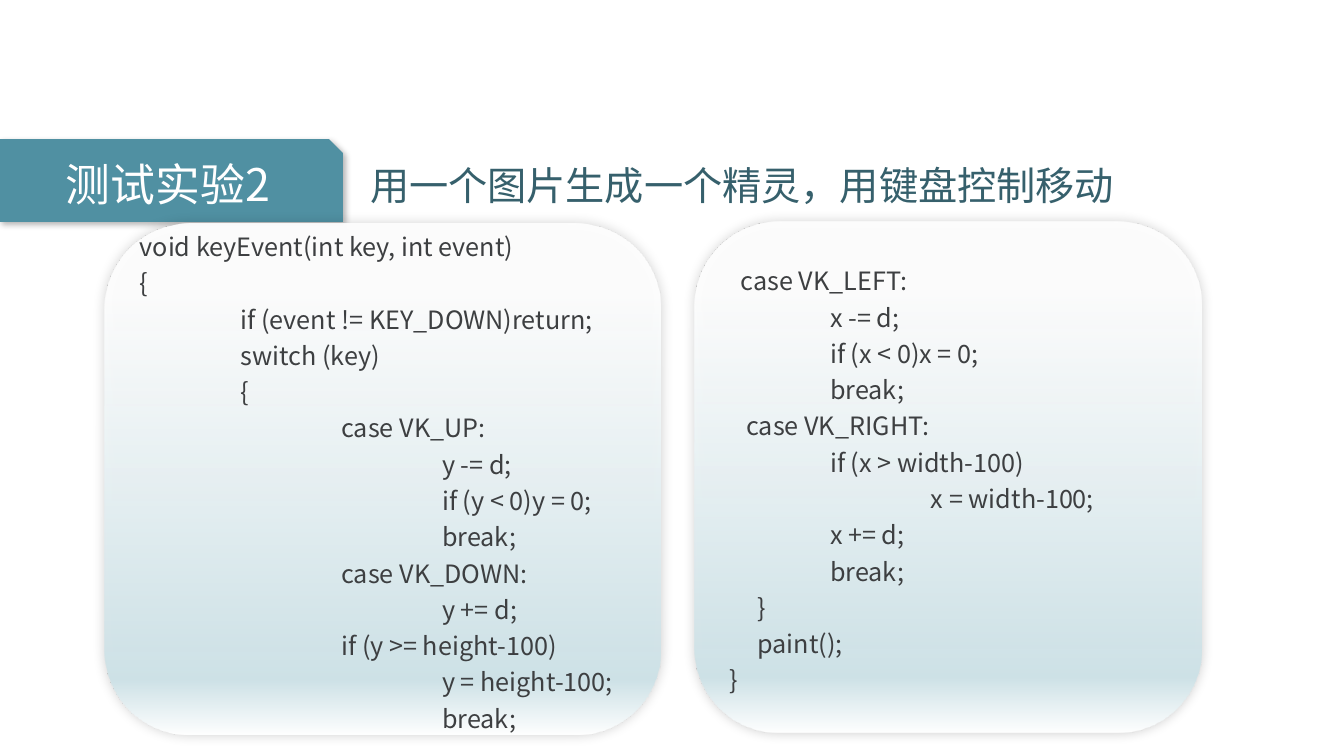
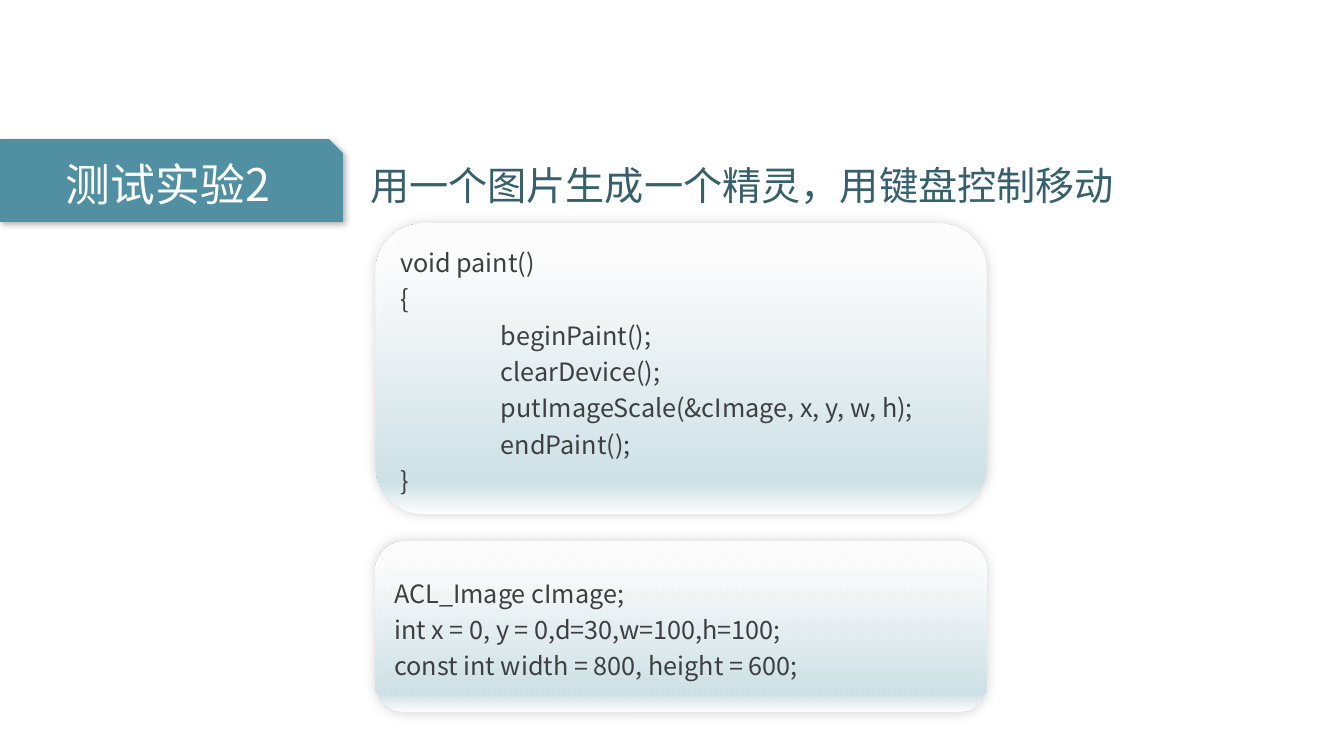
"""Build two slides of sprite code samples under a shared heading."""
from lxml import etree
from pptx import Presentation
from pptx import util as u
from pptx.dml.color import RGBColor
from pptx.enum import shapes, text
from pptx.oxml.ns import qn

THEME = {
    "font": "Noto Sans CJK SC",
    "heading": {"size": 28, "color": "36606C", "spacing": 1.1, "align": text.PP_ALIGN.JUSTIFY},
    "tag": {"size": 32, "color": "FFFFFF", "spacing": 1.0, "align": text.PP_ALIGN.CENTER},
    "code": {"size": 18, "color": "3D3F41", "spacing": 1.2, "align": text.PP_ALIGN.LEFT},
    "tag_fill": "5090A2",
    "card_stops": [(14, "FFFFFF", 92), (89, "CDE1E6", 100), (100, "FFFFFF", 100)],
    "tag_shadow": {"blur": 4.5, "distance": 2.6, "angle": 53, "opacity": 30},
    "card_shadow": {"blur": 9, "distance": 0, "angle": 119, "opacity": 20},
}
SIZE = (13.33, 7.5)
HEADING_AT = (3.57, 1.5, 7.89, 0.72)
TAG_AT = (0, 1.38, 3.4, 0.82)
TAB_STEP = 1
HEADING = "用一个图片生成一个精灵，用键盘控制移动"
TAG = "测试实验2"

KEY_EVENT = [
    "void keyEvent(int key, int event)",
    "{",
    "\tif (event != KEY_DOWN)return;",
    "\tswitch (key)",
    "\t{",
    "\t\tcase VK_UP:",
    "\t\t\ty -= d;",
    "\t\t\tif (y < 0)y = 0;",
    "\t\t\tbreak;",
    "\t\tcase VK_DOWN:",
    "\t\t\ty += d;",
    "\t\tif (y >= height-100)",
    "\t\t\ty = height-100;",
    "\t\t\tbreak;",
]
SIDEWAYS = [
    "  case VK_LEFT:",
    "\tx -= d;",
    "\tif (x < 0)x = 0;",
    "\tbreak;",
    "   case VK_RIGHT:",
    "\tif (x > width-100)",
    "\t\tx = width-100;",
    "\tx += d;",
    "\tbreak;",
    "     }",
    "     paint();",
    "}",
]
PAINT = [
    "void paint()",
    "{",
    "\tbeginPaint();",
    "\tclearDevice();",
    "\tputImageScale(&cImage, x, y, w, h);",
    "\tendPaint();",
    "}",
]
GLOBALS = [
    "ACL_Image cImage;",
    "int x = 0, y = 0,d=30,w=100,h=100;",
    "const int width = 800, height = 600;",
]
SLIDES = [
    [((1.04, 2.22, 5.51, 5.07), KEY_EVENT), ((6.89, 2.2, 5.03, 5.07), SIDEWAYS)],
    [((3.73, 2.22, 6.05, 2.87), PAINT), ((3.73, 5.37, 6.05, 1.69), GLOBALS)],
]


def set_all(target, values):
    """Set each named attribute on the target."""
    for name, value in values.items():
        setattr(target, name, value)


def place(shape, at):
    """Move and size a shape in inches."""
    set_all(shape, dict(zip(("left", "top", "width", "height"), map(u.Inches, at))))


def add_color(parent, color, opacity):
    """Append a colour with opacity in percent."""
    node = etree.SubElement(parent, qn("a:srgbClr"), val=color)
    etree.SubElement(node, qn("a:alpha"), val=str(opacity * 1000))


def add_tabs(para, count):
    """Give a paragraph evenly spaced left tab stops."""
    stops = etree.SubElement(para._p.get_or_add_pPr(), qn("a:tabLst"))
    for step in range(1, count + 1):
        etree.SubElement(stops, qn("a:tab"), pos=str(u.Inches(step * TAB_STEP)), algn="l")


def write(shape, lines, style, anchor=text.MSO_ANCHOR.MIDDLE):
    """Fill a shape with one styled paragraph per line."""
    frame = shape.text_frame
    set_all(frame, {"word_wrap": True, "auto_size": text.MSO_AUTO_SIZE.NONE,
                    "vertical_anchor": anchor})
    for index, line in enumerate(lines):
        para = frame.add_paragraph() if index else frame.paragraphs[0]
        set_all(para, {"alignment": style["align"], "line_spacing": style["spacing"],
                       "space_before": u.Pt(0)})
        if "\t" in line:
            add_tabs(para, line.count("\t"))
        span = para.add_run()
        span.text = line
        set_all(span.font, {"name": THEME["font"], "size": u.Pt(style["size"])})
        span.font.color.rgb = RGBColor.from_string(style["color"])
        latin = span.font._element.find(qn("a:latin"))
        latin.addnext(latin.makeelement(qn("a:ea"), {"typeface": THEME["font"]}))


def add_panel(page, kind, at, shadow):
    """Add an unlined shape with a soft outer shadow."""
    panel = page.shapes.add_shape(kind, 0, 0, 0, 0)
    place(panel, at)
    panel.line.fill.background()
    panel.shadow.inherit = False
    effects = panel._element.spPr.find(qn("a:effectLst"))
    outer = etree.SubElement(
        effects, qn("a:outerShdw"), blurRad=str(u.Pt(shadow["blur"])),
        dist=str(u.Pt(shadow["distance"])), dir=str(shadow["angle"] * 60000),
        algn="ctr", rotWithShape="0")
    add_color(outer, "000000", shadow["opacity"])
    return panel


def add_tag(page):
    """Add the snipped label at the left edge."""
    tag = add_panel(page, shapes.MSO_SHAPE.SNIP_1_RECTANGLE, TAG_AT, THEME["tag_shadow"])
    tag.fill.solid()
    tag.fill.fore_color.rgb = RGBColor.from_string(THEME["tag_fill"])
    write(tag, [TAG], THEME["tag"])


def add_card(page, at, lines):
    """Add a rounded gradient card holding code."""
    card = add_panel(page, shapes.MSO_SHAPE.ROUNDED_RECTANGLE, at, THEME["card_shadow"])
    card.fill.gradient()
    card.fill.gradient_angle = 270
    stops = card._element.spPr.find(".//" + qn("a:gsLst"))
    for stop in list(stops):
        stops.remove(stop)
    for position, color, opacity in THEME["card_stops"]:
        stop = etree.SubElement(stops, qn("a:gs"), pos=str(position * 1000))
        add_color(stop, color, opacity)
    write(card, lines, THEME["code"])


def main():
    """Build and save the deck."""
    deck = Presentation()
    deck.slide_width, deck.slide_height = map(u.Inches, SIZE)
    layout = deck.slide_layouts.get_by_name("Title Only")
    place(layout.placeholders[0], HEADING_AT)
    for cards in SLIDES:
        page = deck.slides.add_slide(layout)
        write(page.shapes.title, [HEADING], THEME["heading"], text.MSO_ANCHOR.TOP)
        add_tag(page)
        for at, lines in cards:
            add_card(page, at, lines)
    deck.save("out.pptx")


if __name__ == "__main__":
    main()
